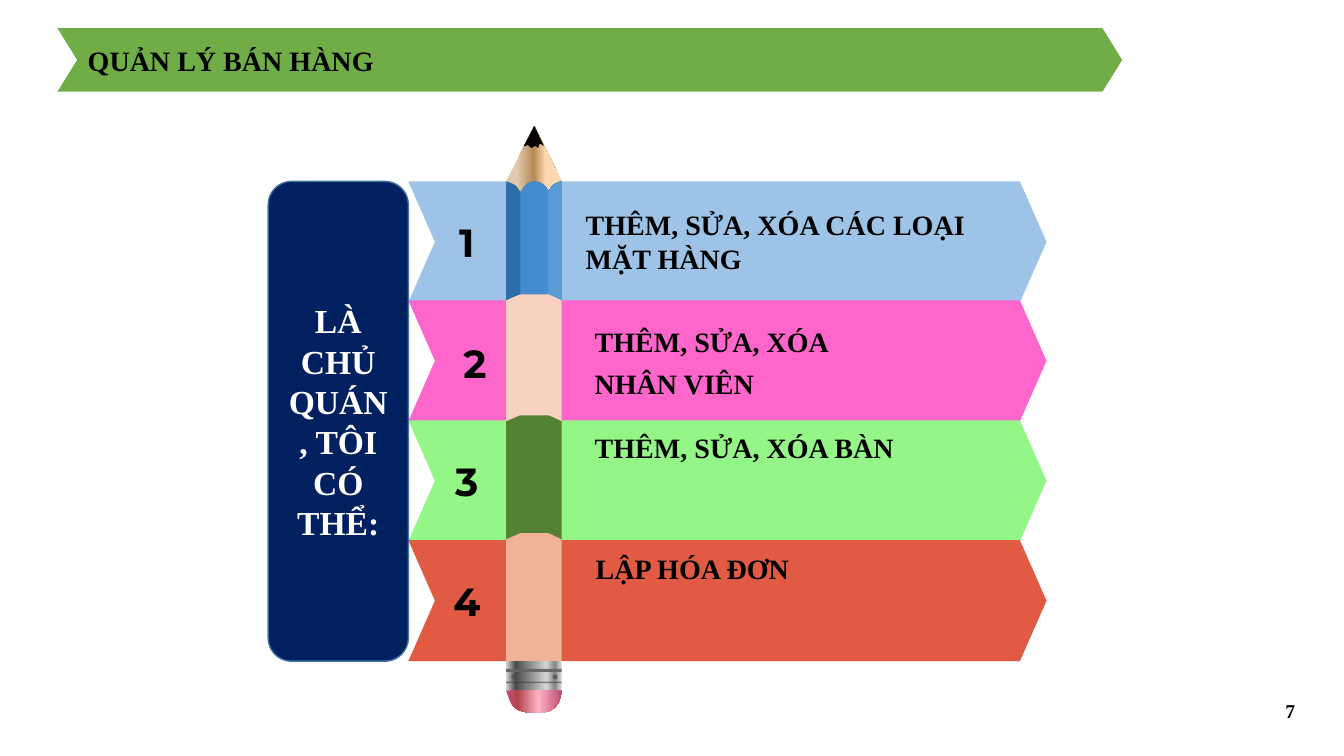
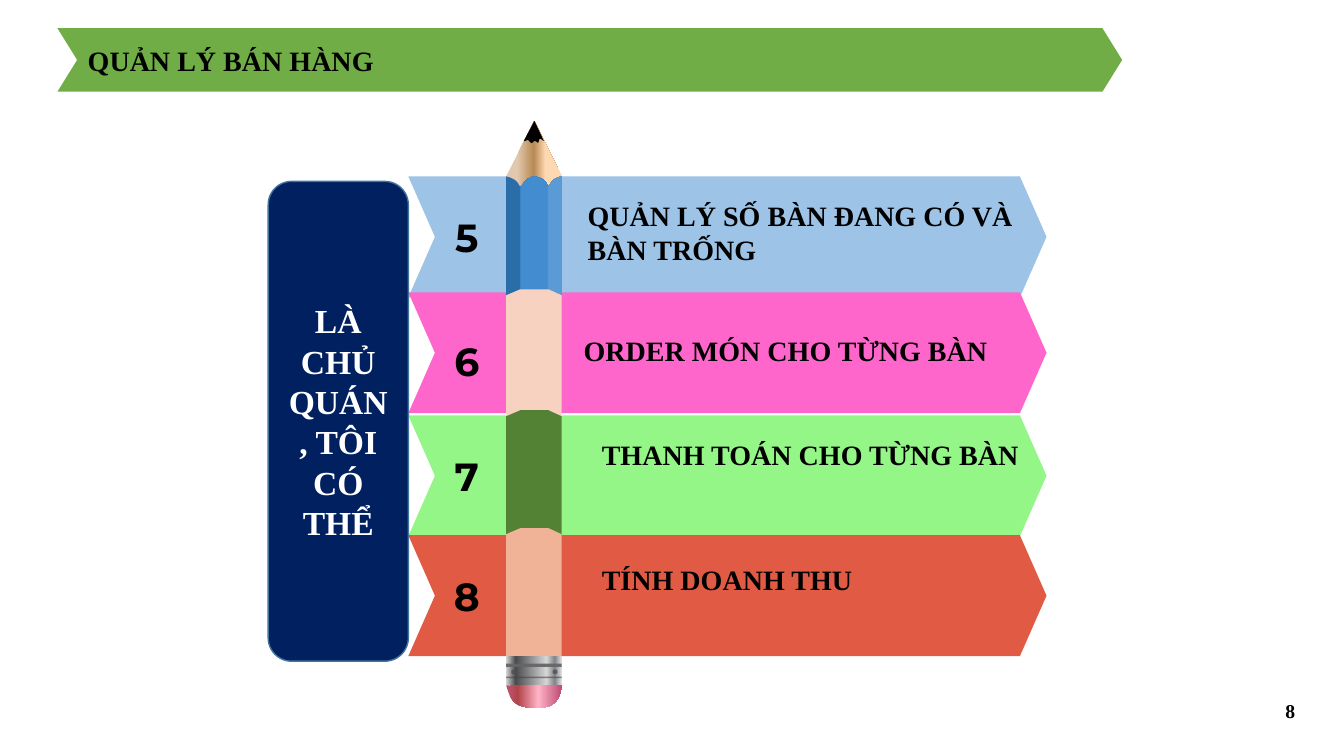
import dataclasses

import pptx
import pptx.dml.color
import pptx.enum.shapes
import pptx.enum.text
import pptx.oxml.ns
import pptx.util
from lxml import etree
from pptx.util import Inches

SHAPE = pptx.enum.shapes.MSO_SHAPE
ALIGN = pptx.enum.text.PP_ALIGN
ANCHOR = pptx.enum.text.MSO_ANCHOR
qn = pptx.oxml.ns.qn


@dataclasses.dataclass(frozen=True)
class Theme:
    serif: str = "Times New Roman"
    display: str = "Montserrat"
    ink: str = "000000"
    white: str = "FFFFFF"
    title_band: str = "70AD47"
    panel: str = "002060"
    panel_line: str = "43739E"
    bands: tuple = ("9DC3E6", "FF66CC", "95F688", "E15A43")
    sections: tuple = ("F7D2C1", "548235", "F1B397")
    wood: tuple = ((20, "E1C9AF"), (50, "B88954"), (71, "FED8B1"))
    barrel: tuple = ((0, "2B6DA9"), (24, "2B6DA9"), (27, "438CCF"),
                     (74, "438CCF"), (77, "5B9BD5"), (100, "5B9BD5"))
    metal: tuple = ((0, "D6D6D6"), (17, "494A4C"), (73, "D6D6D6"),
                    (88, "808286"), (100, "DEDEDE"))
    eraser: tuple = ((7, "BD4F6A"), (21, "B24349"), (58, "FFB3C7"), (100, "BF4C73"))
    thin_ring: str = "414244"
    thick_ring: str = "656567"
    rivet: str = "4E4D4B"
    body_size: int = 20
    panel_size: int = 24
    number_size: int = 28
    page_size: int = 14


@dataclasses.dataclass(frozen=True)
class Item:
    number: str
    lines: tuple
    band_top: float
    number_at: tuple
    text_box: tuple


THEME = Theme()


def rgb(value):
    return pptx.dml.color.RGBColor.from_string(value)


def write(tf, lines, size=THEME.body_size, font=THEME.serif, color=THEME.ink,
          align=ALIGN.LEFT, anchor=ANCHOR.TOP, wrap=True, after=0):
    tf.auto_size = pptx.enum.text.MSO_AUTO_SIZE.NONE
    tf.word_wrap = wrap
    tf.vertical_anchor = anchor
    for i, line in enumerate(lines):
        p = tf.paragraphs[0] if i == 0 else tf.add_paragraph()
        p.alignment = align
        p.space_after = pptx.util.Pt(after)
        r = p.add_run()
        r.text = line
        r.font.name = font
        r.font.size = pptx.util.Pt(size)
        r.font.bold = True
        r.font.color.rgb = rgb(color)


def set_alpha(element, percent):
    clr = element.find(".//" + qn("a:srgbClr"))
    etree.SubElement(clr, qn("a:alpha")).set("val", str(percent * 1000))


def curve_points(start, curve, steps=8):
    x0, y0 = start
    x1, y1, x2, y2, x3, y3 = curve
    for i in range(1, steps + 1):
        t = i / steps
        a, b, c, d = (1 - t) ** 3, 3 * t * (1 - t) ** 2, 3 * t * t * (1 - t), t ** 3
        yield a * x0 + b * x1 + c * x2 + d * x3, a * y0 + b * y1 + c * y2 + d * y3


class Deck:
    def __init__(self, theme):
        self.theme = theme
        self.prs = pptx.Presentation()
        self.prs.slide_width = Inches(13.33)
        self.prs.slide_height = Inches(7.5)
        self.s = None

    def paint(self, sp, fill, line=None):
        sp.shadow.inherit = False
        if isinstance(fill, str):
            sp.fill.solid()
            sp.fill.fore_color.rgb = rgb(fill)
        else:
            sp.fill.gradient()
            sp.fill.gradient_angle = 0
            stops = sp._element.spPr.find(".//" + qn("a:gsLst"))
            for stop in list(stops):
                stops.remove(stop)
            for position, color in fill:
                stop = etree.SubElement(stops, qn("a:gs"), pos=str(position * 1000))
                etree.SubElement(stop, qn("a:srgbClr"), val=color)
        if line:
            sp.line.color.rgb = rgb(line)
            sp.line.width = pptx.util.Pt(1)
        else:
            sp.line.fill.background()

    def shape(self, kind, box, fill, line=None, adjust=None):
        sp = self.s.shapes.add_shape(kind, *map(Inches, box))
        if adjust is not None:
            sp.adjustments[0] = adjust
        self.paint(sp, fill, line)
        return sp

    def outline(self, left, top, path, fill):
        points = [path[0]]
        for step in path[1:]:
            points.extend([step] if len(step) == 2 else curve_points(points[-1], step))
        start, *rest = [(Inches(left + x), Inches(top + y)) for x, y in points]
        builder = self.s.shapes.build_freeform(*start)
        builder.add_line_segments(rest, close=True)
        self.paint(builder.convert_to_shape(), fill)

    def rule(self, left, right, y, color, width, alpha):
        line = self.s.shapes.add_connector(
            pptx.enum.shapes.MSO_CONNECTOR.STRAIGHT,
            Inches(left), Inches(y), Inches(right), Inches(y))
        line.line.color.rgb = rgb(color)
        line.line.width = pptx.util.Pt(width)
        spPr = line._element.spPr
        set_alpha(spPr, alpha)
        etree.SubElement(spPr, qn("a:effectLst"))

    def text(self, box, lines, **style):
        sp = self.s.shapes.add_textbox(*map(Inches, box))
        write(sp.text_frame, lines, **style)

    def title(self, text):
        self.shape(SHAPE.CHEVRON, (0.57, 0.28, 10.56, 0.63), self.theme.title_band, adjust=0.31)
        sp = self.s.shapes.title
        sp.left, sp.top, sp.width, sp.height = map(Inches, (0.77, 0.28, 10.16, 0.63))
        self.s.shapes._spTree.append(sp._element)
        write(sp.text_frame, [text], anchor=ANCHOR.MIDDLE)

    def panel(self, text):
        sp = self.shape(SHAPE.ROUNDED_RECTANGLE, (2.66, 1.8, 1.39, 4.76),
                        self.theme.panel, self.theme.panel_line)
        write(sp.text_frame, [text], size=self.theme.panel_size, color=self.theme.white,
              align=ALIGN.CENTER, anchor=ANCHOR.MIDDLE)

    def band(self, item, color):
        self.shape(SHAPE.CHEVRON, (4.05, item.band_top, 6.33, 1.2), color, adjust=0.22)

    def pencil(self, top, left=5.02, width=0.55):
        t = self.theme
        self.outline(left, top, [(0.06, 0.7), (0, 0.55), (0.28, 0), (width, 0.55),
                                 (0.46, 0.7)], t.wood)
        self.outline(left, top, [
            (0, 0.55), (0.12, 0.58, 0.12, 0.63, 0.14, 0.66),
            (0.19, 0.6, 0.19, 0.57, 0.28, 0.55), (0.39, 0.57, 0.39, 0.61, 0.42, 0.65),
            (0.47, 0.57, 0.49, 0.57, width, 0.55), (width, 1.75), (0, 1.75)], t.barrel)
        for section_top, color in zip((1.67, 2.87, 4.04), t.sections):
            self.outline(left, top + section_top, [
                (0.14, 0), (0.42, 0), (width, 0.06), (width, 1.27), (0, 1.27), (0, 0.06)], color)
        self.shape(SHAPE.RECTANGLE, (left, top + 5.31, width, 0.29), t.metal)
        self.rule(left, left + width, top + 5.52, t.thin_ring, 1, 59)
        self.rule(left, left + width, top + 5.4, t.thick_ring, 2.25, 92)
        for x in (0.05, 0.46):
            rivet = self.shape(SHAPE.OVAL, (left + x, top + 5.44, 0.05, 0.05), t.rivet)
            set_alpha(rivet._element.spPr, 76)
        self.outline(left, top, [
            (0, 5.6), (width, 5.6), (0.54, 5.67), (0.49, 5.83, 0.37, 5.82, 0.28, 5.82),
            (0.18, 5.82, 0.06, 5.81, 0.02, 5.66)], t.eraser)
        self.outline(left, top, [
            (0.22, 0.19), (0.21, 0.18, 0.17, 0.22, 0.18, 0.19), (0.28, 0), (0.37, 0.19),
            (0.38, 0.22, 0.34, 0.16, 0.33, 0.18), (0.32, 0.21),
            (0.32, 0.23, 0.3, 0.2, 0.29, 0.2), (0.28, 0.19, 0.26, 0.22, 0.25, 0.22)], t.ink)

    def label(self, item):
        self.text((*item.number_at, 0.46, 0.57), [item.number], size=self.theme.number_size,
                  font=self.theme.display, align=ALIGN.CENTER, anchor=ANCHOR.MIDDLE, wrap=False)
        self.text(item.text_box, item.lines, after=6)

    def pencil_slide(self, page, panel, pencil_top, items):
        self.s = self.prs.slides.add_slide(self.prs.slide_layouts[5])
        self.title("QUẢN LÝ BÁN HÀNG")
        for item, color in zip(items, self.theme.bands):
            self.band(item, color)
        self.pencil(pencil_top)
        for item in items:
            self.label(item)
        self.panel(panel)
        self.text((12.65, 6.88, 0.3, 0.34), [page], size=self.theme.page_size)


deck = Deck(THEME)
deck.pencil_slide("7", "LÀ CHỦ QUÁN, TÔI CÓ THỂ:", 1.25, [
    Item("1", ("THÊM, SỬA, XÓA CÁC LOẠI MẶT HÀNG",), 1.8, (4.4, 2.11), (5.71, 2.01, 4.34, 0.77)),
    Item("2", ("THÊM, SỬA, XÓA", "NHÂN VIÊN"), 2.98, (4.48, 3.31), (5.8, 3.17, 4.04, 0.86)),
    Item("3", ("THÊM, SỬA, XÓA BÀN",), 4.17, (4.4, 4.49), (5.8, 4.22, 4.19, 1.19)),
    Item("4", ("LẬP HÓA ĐƠN",), 5.36, (4.4, 5.68), (5.81, 5.42, 4.24, 0.44)),
])
deck.pencil_slide("8", "LÀ CHỦ QUÁN, TÔI CÓ THỂ", 1.2, [
    Item("5", ("QUẢN LÝ SỐ BÀN ĐANG CÓ VÀ BÀN TRỐNG",), 1.75, (4.4, 2.06), (5.73, 1.92, 4.81, 0.77)),
    Item("6", ("ORDER MÓN CHO TỪNG BÀN",), 2.9, (4.4, 3.29), (5.69, 3.26, 4.48, 0.44)),
    Item("7", ("THANH TOÁN CHO TỪNG BÀN",), 4.12, (4.4, 4.44), (5.87, 4.29, 4.51, 0.44)),
    Item("8", ("TÍNH DOANH THU",), 5.31, (4.4, 5.63), (5.87, 5.53, 4.19, 0.44)),
])
deck.prs.save("out.pptx")
